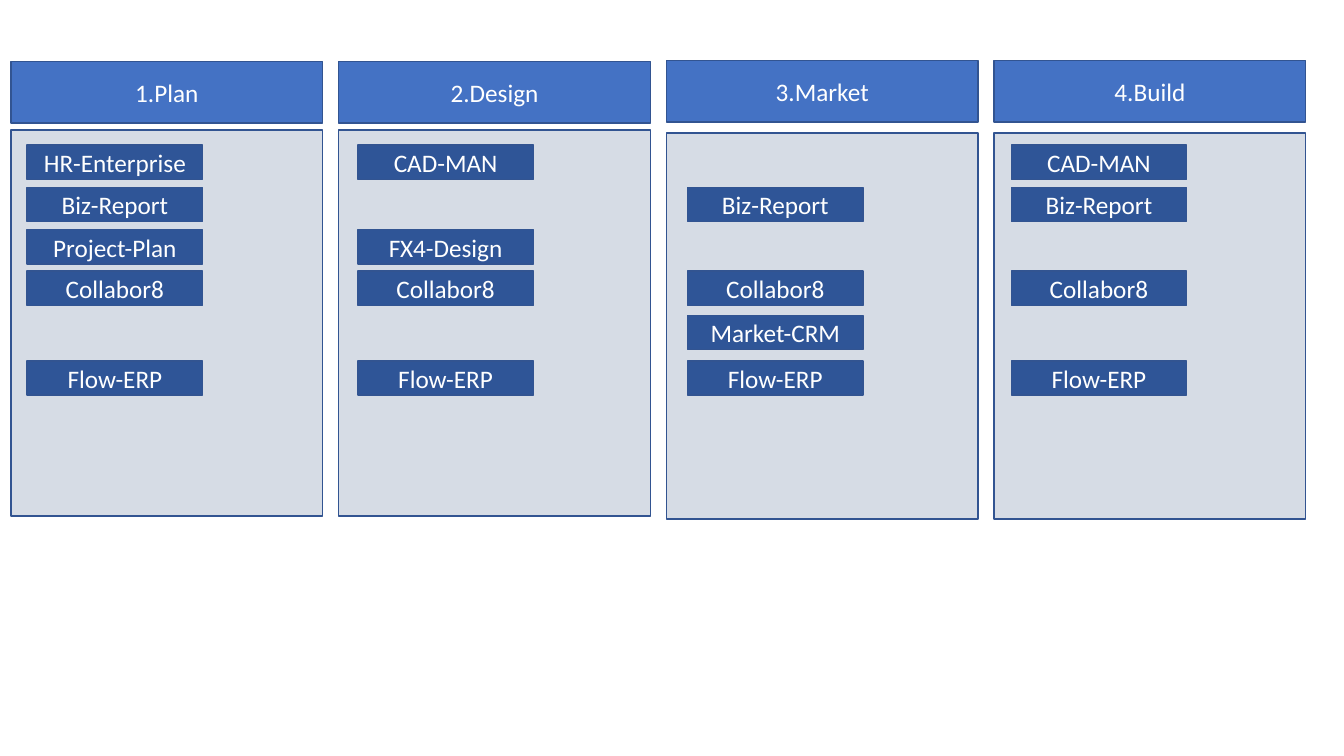
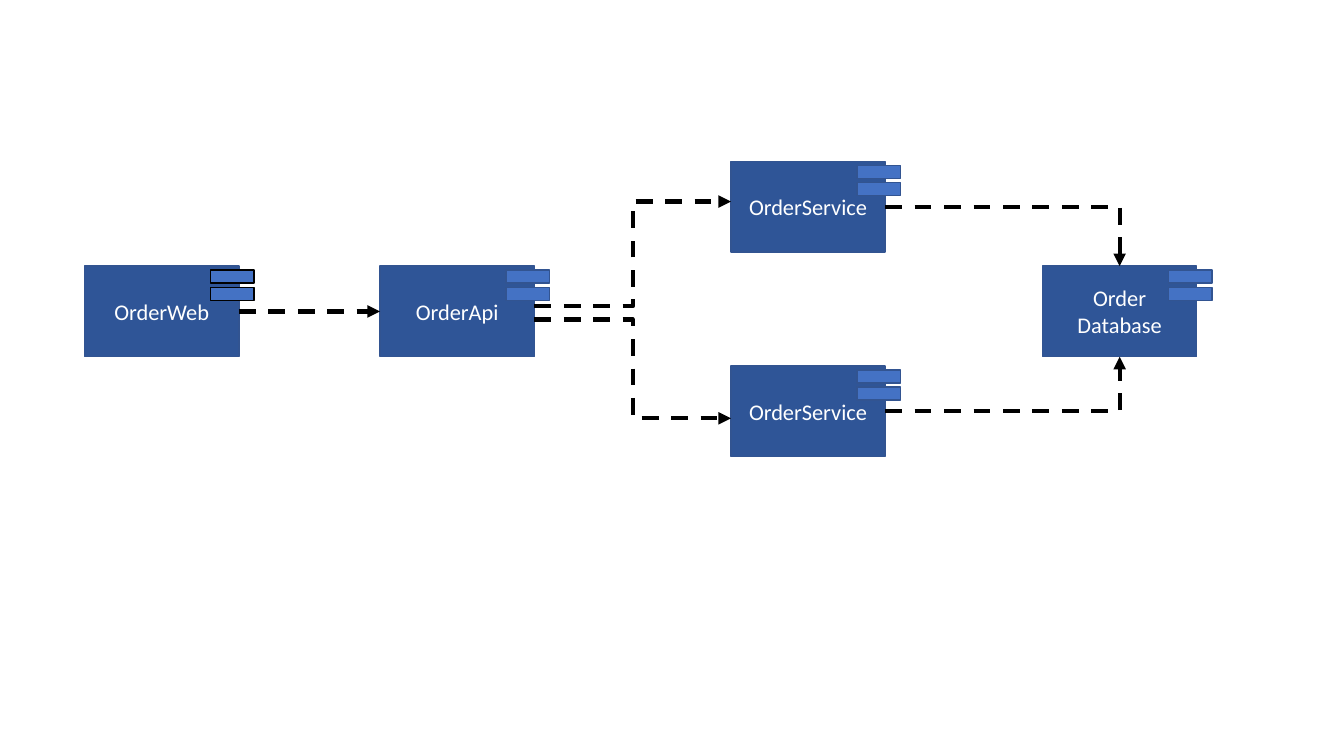
from lxml import etree
from pptx import Presentation
from pptx import util as u
from pptx.dml.color import RGBColor
from pptx.enum import dml, shapes, text
from pptx.oxml.ns import qn

FONT = "Calibri"
BLUE, NAVY, EDGE = "4472C4", "2F5597", "325491"
PALE, BLACK, WHITE = "D6DCE5", "000000", "FFFFFF"

STAGES = [
    ("1.Plan", 0.61, 1.29, 0.16,
     ["HR-Enterprise", "Biz-Report", "Project-Plan", "Collabor8", None, "Flow-ERP"]),
    ("2.Design", 0.61, 1.29, 0.19,
     ["CAD-MAN", None, "FX4-Design", "Collabor8", None, "Flow-ERP"]),
    ("3.Market", 0.6, 1.32, 0.21,
     [None, "Biz-Report", None, "Collabor8", "Market-CRM", "Flow-ERP"]),
    ("4.Build", 0.6, 1.32, 0.17,
     ["CAD-MAN", "Biz-Report", None, "Collabor8", None, "Flow-ERP"]),
]
STAGE_LEFT, STAGE_PITCH, STAGE_WIDTH = 0.11, 3.25, 3.09
HEADER_HEIGHT, PANEL_HEIGHT = 0.61, 3.83
APP_TOPS = [1.44, 1.86, 2.28, 2.69, 3.13, 3.58]
APP_WIDTH, APP_HEIGHT = 1.74, 0.34

COMPONENTS = {
    "web": ("OrderWeb", 0.84, 2.64, BLACK),
    "api": ("OrderApi", 3.77, 2.64, EDGE),
    "upper service": ("OrderService", 7.25, 1.6, EDGE),
    "database": ("Order\nDatabase", 10.34, 2.64, EDGE),
    "lower service": ("OrderService", 7.25, 3.63, EDGE),
}
COMPONENT_WIDTH, COMPONENT_HEIGHT = 1.53, 0.9
TAB_LEFT, TAB_TOPS, TAB_WIDTH, TAB_HEIGHT = 1.25, (0.04, 0.21), 0.43, 0.13

TOP, LEFT, BOTTOM, RIGHT = range(4)
SITES = {TOP: (0.5, 0), LEFT: (0, 0.5), BOTTOM: (0.5, 1), RIGHT: (1, 0.5)}
FLOWS = [
    ("line", ("web", RIGHT, 0), ("api", LEFT, 0)),
    ("bentConnector3", ("api", RIGHT, -0.05), ("upper service", LEFT, -0.05)),
    ("bentConnector3", ("api", RIGHT, 0.08), ("lower service", LEFT, 0.07)),
    ("bentConnector2", ("upper service", RIGHT, 0), ("database", TOP, 0)),
    ("bentConnector2", ("lower service", RIGHT, 0), ("database", BOTTOM, 0)),
]


def color(value):
    return RGBColor.from_string(value)


def add_box(parent, left, top, width, height, fill, line=EDGE, label="", size=18):
    shape = parent.add_shape(shapes.MSO_SHAPE.RECTANGLE,
                             *map(u.Inches, (left, top, width, height)))
    shape.shadow.inherit = False
    shape.fill.solid()
    shape.fill.fore_color.rgb = color(fill)
    shape.line.color.rgb = color(line)
    shape.line.width = u.Pt(1)
    if label:
        frame = shape.text_frame
        frame.word_wrap = True
        frame.vertical_anchor = text.MSO_ANCHOR.MIDDLE
        frame.text = label
        for paragraph in frame.paragraphs:
            paragraph.alignment = text.PP_ALIGN.CENTER
            paragraph.font.name = FONT
            paragraph.font.size = u.Pt(size)
            paragraph.font.color.rgb = color(WHITE)
    return shape


def add_component(slide, label, left, top, tab_line):
    group = slide.shapes.add_group_shape()
    body = add_box(group.shapes, left, top, COMPONENT_WIDTH, COMPONENT_HEIGHT,
                   NAVY, label=label, size=16)
    for tab_top in TAB_TOPS:
        add_box(group.shapes, left + TAB_LEFT, top + tab_top,
                TAB_WIDTH, TAB_HEIGHT, BLUE, tab_line)
    return body


def site_point(body, site, shift):
    across, down = SITES[site]
    return (int(body.left + across * body.width),
            int(body.top + down * body.height + u.Inches(shift)))


def add_flow(slide, bodies, preset, start, end):
    start_name, start_site, start_shift = start
    end_name, end_site, end_shift = end
    kind = shapes.MSO_CONNECTOR.STRAIGHT if preset == "line" else shapes.MSO_CONNECTOR.ELBOW
    connector = slide.shapes.add_connector(
        kind,
        *site_point(bodies[start_name], start_site, start_shift),
        *site_point(bodies[end_name], end_site, end_shift))
    if not start_shift:
        connector.begin_connect(bodies[start_name], start_site)
    if not end_shift:
        connector.end_connect(bodies[end_name], end_site)
    connector.line.color.rgb = color(BLACK)
    connector.line.width = u.Pt(3)
    connector.line.dash_style = dml.MSO_LINE.DASH
    properties = connector._element.spPr
    properties.find(qn("a:prstGeom")).set("prst", preset)
    etree.SubElement(properties.find(qn("a:ln")), qn("a:tailEnd"), type="triangle")
    etree.SubElement(properties, qn("a:effectLst"))


def build_stages(slide):
    for column, (name, header_top, panel_top, indent, apps) in enumerate(STAGES):
        left = STAGE_LEFT + column * STAGE_PITCH
        add_box(slide.shapes, left, header_top, STAGE_WIDTH, HEADER_HEIGHT, BLUE, label=name)
        add_box(slide.shapes, left, panel_top, STAGE_WIDTH, PANEL_HEIGHT, PALE)
        for top, app in zip(APP_TOPS, apps):
            if app:
                add_box(slide.shapes, left + indent, top, APP_WIDTH, APP_HEIGHT,
                        NAVY, label=app)


def build_components(slide):
    bodies = {key: add_component(slide, *component)
              for key, component in COMPONENTS.items()}
    for flow in FLOWS:
        add_flow(slide, bodies, *flow)


def main():
    presentation = Presentation()
    presentation.slide_width = u.Inches(13.33)
    presentation.slide_height = u.Inches(7.5)
    blank = presentation.slide_layouts.get_by_name("Blank")
    for build in (build_stages, build_components):
        build(presentation.slides.add_slide(blank))
    presentation.save("out.pptx")


if __name__ == "__main__":
    main()
